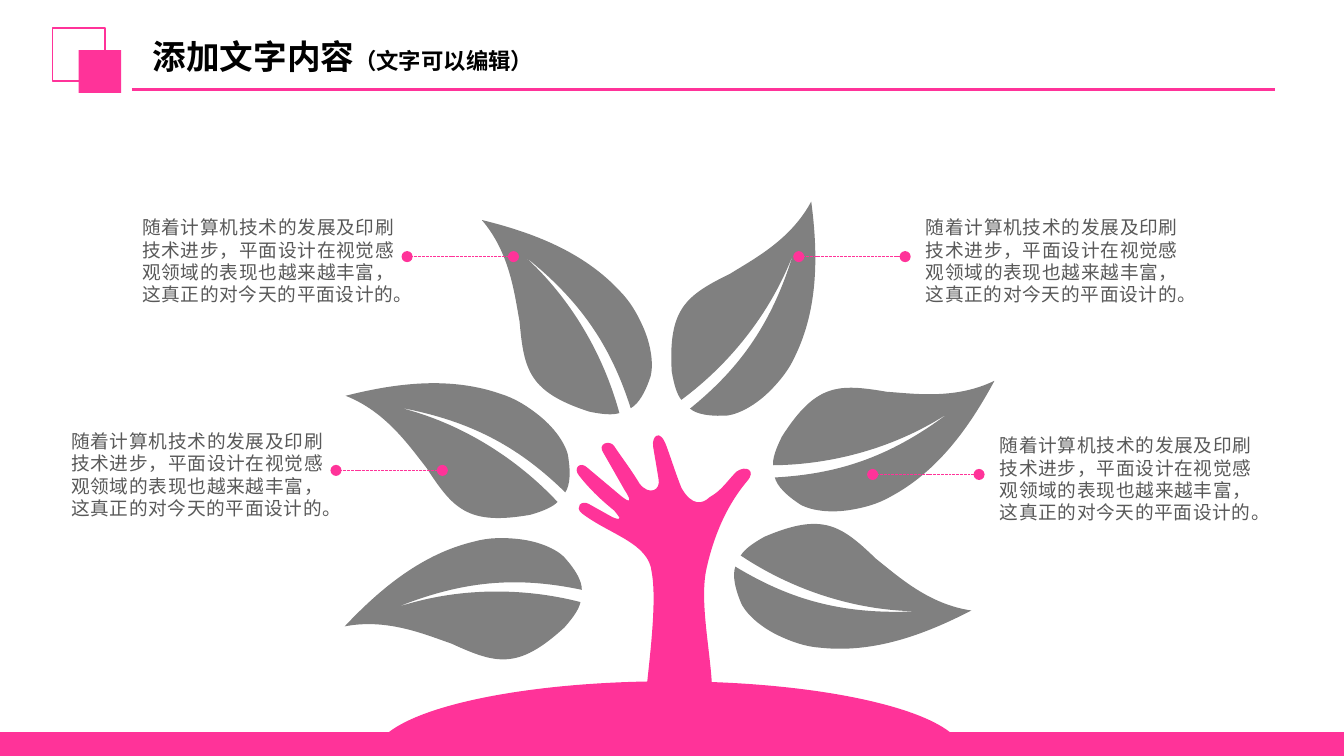
from lxml.etree import SubElement
from pptx import Presentation
from pptx.dml.color import RGBColor
from pptx.enum.dml import MSO_LINE
from pptx.enum.shapes import MSO_CONNECTOR as CONNECTOR, MSO_SHAPE as SHAPE
from pptx.enum.text import PP_ALIGN as ALIGN
from pptx.oxml.ns import qn
from pptx.util import Pt

PINK = RGBColor(0xFF, 0x33, 0x99)
LEAF_GRAY = RGBColor(0x80, 0x80, 0x80)
BODY_GRAY = RGBColor(0x59, 0x59, 0x59)
BLACK = RGBColor(0, 0, 0)
FONT = "Noto Sans CJK SC"

SLIDE_W, SLIDE_H = 720, 405
GROUND_TOP = 392.2
LEAF_SIZE = (123.8, 64.8)
HAND_SIZE = (93.6, 136.8)
MOUND_SIZE = (301, 27.4)
CALLOUT_W, CALLOUT_H = 149, 55.4
LEADER_LENGTH, LEADER_DROP, LEADER_GAP = 57, 25.2, 4

BODY = ("随着计算机技术的发展及印刷技术进步，平面设计在视觉感观领域的表现"
        "也越来越丰富，这真正的对今天的平面设计的。")

# Outlines: a start point, then segments of one point (straight) or three (Bezier).
LEAF = [
    [(85.6, 0)],
    [(97.9, -0.4), (108.6, 3.1), (112.9, 7.6)],
    [(117.9, 12), (122.3, 17.2), (123, 22.1)],
    [(91.4, 20.1), (62.2, 24.4), (26, 45.6)],
    [(56.5, 30.3), (91.4, 25.2), (123.2, 28.7)],
    [(123, 32.3), (120.8, 37), (116.6, 43.4)],
    [(95, 69.8), (83, 67.9), (58, 60.6)],
    [(43, 57.7), (21.8, 52), (0, 59.6)],
    [(16.6, 36), (36.1, 15), (62.3, 4.7)],
    [(69.8, 1.4), (77.7, 0.3), (85.6, 0)],
]
HAND = [
    [(2.9, 41.8)],
    [(-1.4, 38.2), (2.9, 34.6), (6.5, 36.7)],
    [(19.4, 43.9)],
    [(25.2, 46.1), (23, 43.9), (20.2, 40.3)],
    [(12.2, 33.8), (6.5, 28.1), (1.4, 21.6)],
    [(-2.2, 17.3), (2.2, 13.7), (5.8, 17.3)],
    [(23.8, 32.4)],
    [(28.1, 36), (30.2, 36), (25.9, 29.5)],
    [(14.4, 9.4)],
    [(10.8, 4.3), (18, 2.2), (20.2, 5.8)],
    [(24.5, 12.2), (29.5, 18.7), (33.8, 25.9)],
    [(38.9, 32.4), (45.4, 29.5), (43.9, 23)],
    [(41, 5.8)],
    [(40.3, 0.7), (44.6, -4.3), (48.2, 5.8)],
    [(51.1, 13.7), (53.3, 20.9), (56.2, 28.1)],
    [(61.9, 38.2), (67.7, 36.7), (71.3, 33.1)],
    [(77.8, 29.5), (80.6, 24.5), (85.7, 19.4)],
    [(90.7, 15.8), (96.5, 18.7), (91.4, 24.5)],
    [(79.9, 38.2), (73.4, 54.7), (69.8, 70.6)],
    [(65.5, 88.6), (72, 115.9), (72.7, 136.8)],
    [(37.4, 136.8)],
    [(38.9, 121), (43.2, 89.3), (40.3, 73.4)],
    [(38.9, 57.6), (18, 53.3), (2.9, 41.8)],
]
MOUND = [
    [(150.5, 0)],
    [(221, 0), (280.8, 11.5), (301, 27.4)],
    [(0, 27.4)],
    [(20.2, 11.5), (79.9, 0), (150.5, 0)],
]
LEAVES = [(187.9, 285.1, 8.2), (187.9, 199.4, 40.7), (244.1, 133.2, 68.6),
          (345.6, 137.5, 137.3), (412.6, 205.9, 173.2), (391, 290.2, 207.5)]
CALLOUTS = [(69.1, 112.3, "left"), (31, 226.8, "left"),
            (488.9, 112.3, "right"), (528.5, 229, "right")]


def paint(shape, fill=None, line=None):
    shape.shadow.inherit = False
    if fill is None:
        shape.fill.background()
    else:
        shape.fill.solid()
        shape.fill.fore_color.rgb = fill
    if line is None:
        shape.line.fill.background()
    else:
        shape.line.color.rgb = line
        shape.line.width = Pt(0.75)


def add_box(slide, left, top, width, height, **colours):
    box = slide.shapes.add_shape(SHAPE.RECTANGLE, Pt(left), Pt(top), Pt(width), Pt(height))
    paint(box, **colours)


def add_rule(slide, x1, x2, y, width):
    rule = slide.shapes.add_connector(CONNECTOR.STRAIGHT, Pt(x1), Pt(y), Pt(x2), Pt(y))
    rule.line.color.rgb = PINK
    rule.line.width = Pt(width)
    SubElement(rule._element.spPr, qn("a:effectLst"))
    return rule


def add_outline(slide, left, top, size, outline, fill):
    """Build a freeform from the end points, then bend its three-point segments."""
    ends = [(Pt(x), Pt(y)) for x, y in (segment[-1] for segment in outline)]
    builder = slide.shapes.build_freeform(*ends[0])
    builder.add_line_segments(ends[1:], close=False)
    shape = builder.convert_to_shape()
    shape.left, shape.top, shape.width, shape.height = map(Pt, (left, top, *size))

    geometry = next(shape._element.iter(qn("a:path")))
    for name, length in zip("wh", size):
        geometry.set(name, str(Pt(length)))
    for step in list(geometry):
        geometry.remove(step)
    for index, segment in enumerate(outline):
        kind = "moveTo" if index == 0 else "lnTo" if len(segment) == 1 else "cubicBezTo"
        step = SubElement(geometry, qn(f"a:{kind}"))
        for x, y in segment:
            SubElement(step, qn("a:pt"), x=str(Pt(x)), y=str(Pt(y)))
    SubElement(geometry, qn("a:close"))
    paint(shape, fill)
    return shape


def format_run(run, size, colour, bold=False):
    run.font.size = Pt(size)
    run.font.bold = bold
    run.font.color.rgb = colour
    run.font.name = FONT
    SubElement(run._r.get_or_add_rPr(), qn("a:ea")).set("typeface", FONT)


def add_header(slide, left, top):
    add_box(slide, left, top, 28.3, 28.3, line=PINK)
    add_box(slide, left + 14.1, top + 11.8, 22.8, 22.9, fill=PINK)
    add_rule(slide, left + 42.5, left + 655, top + 32.8, 1.25)
    frame = slide.shapes.add_textbox(Pt(left + 48.5), Pt(top + 1.4), Pt(276.5), Pt(27.4)).text_frame
    frame.word_wrap = True
    frame.margin_left = frame.margin_right = Pt(5.2)
    frame.margin_top = frame.margin_bottom = Pt(2.7)
    title = frame.paragraphs[0]
    title.line_spacing = Pt(21.6)
    for words, size in (("添加文字内容", 18), ("（文字可以编辑）", 12)):
        run = title.add_run()
        run.text = words
        format_run(run, size, BLACK, bold=True)


def add_tree(slide):
    add_outline(slide, 308.9, 233.3, HAND_SIZE, HAND, PINK)
    for left, top, angle in LEAVES:
        leaf = add_outline(slide, left, top, LEAF_SIZE, LEAF, LEAF_GRAY)
        leaf.rotation = angle
    add_outline(slide, 208.1, 365, MOUND_SIZE, MOUND, PINK)


def add_callout(slide, left, top, side):
    """Place a text block with its dotted leader pointing at the tree."""
    frame = slide.shapes.add_textbox(Pt(left), Pt(top), Pt(CALLOUT_W), Pt(CALLOUT_H)).text_frame
    frame.word_wrap = True
    frame.text = BODY
    paragraph = frame.paragraphs[0]
    paragraph.alignment = ALIGN.JUSTIFY
    paragraph.line_spacing = Pt(12)
    format_run(paragraph.runs[0], 10, BODY_GRAY)

    start = left + CALLOUT_W if side == "left" else left - LEADER_GAP - LEADER_LENGTH
    leader = add_rule(slide, start + LEADER_LENGTH, start, top + LEADER_DROP, 0.5)
    leader.line.dash_style = MSO_LINE.SQUARE_DOT
    for end in ("a:headEnd", "a:tailEnd"):
        SubElement(leader.line._get_or_add_ln(), qn(end)).set("type", "oval")


def main():
    prs = Presentation()
    prs.slide_width, prs.slide_height = Pt(SLIDE_W), Pt(SLIDE_H)
    slide = prs.slides.add_slide(prs.slide_layouts[6])
    add_box(slide, 0, GROUND_TOP, SLIDE_W, SLIDE_H - GROUND_TOP, fill=PINK)
    add_header(slide, 28.1, 15.1)
    add_tree(slide)
    for callout in CALLOUTS:
        add_callout(slide, *callout)
    prs.save("out.pptx")


if __name__ == "__main__":
    main()
